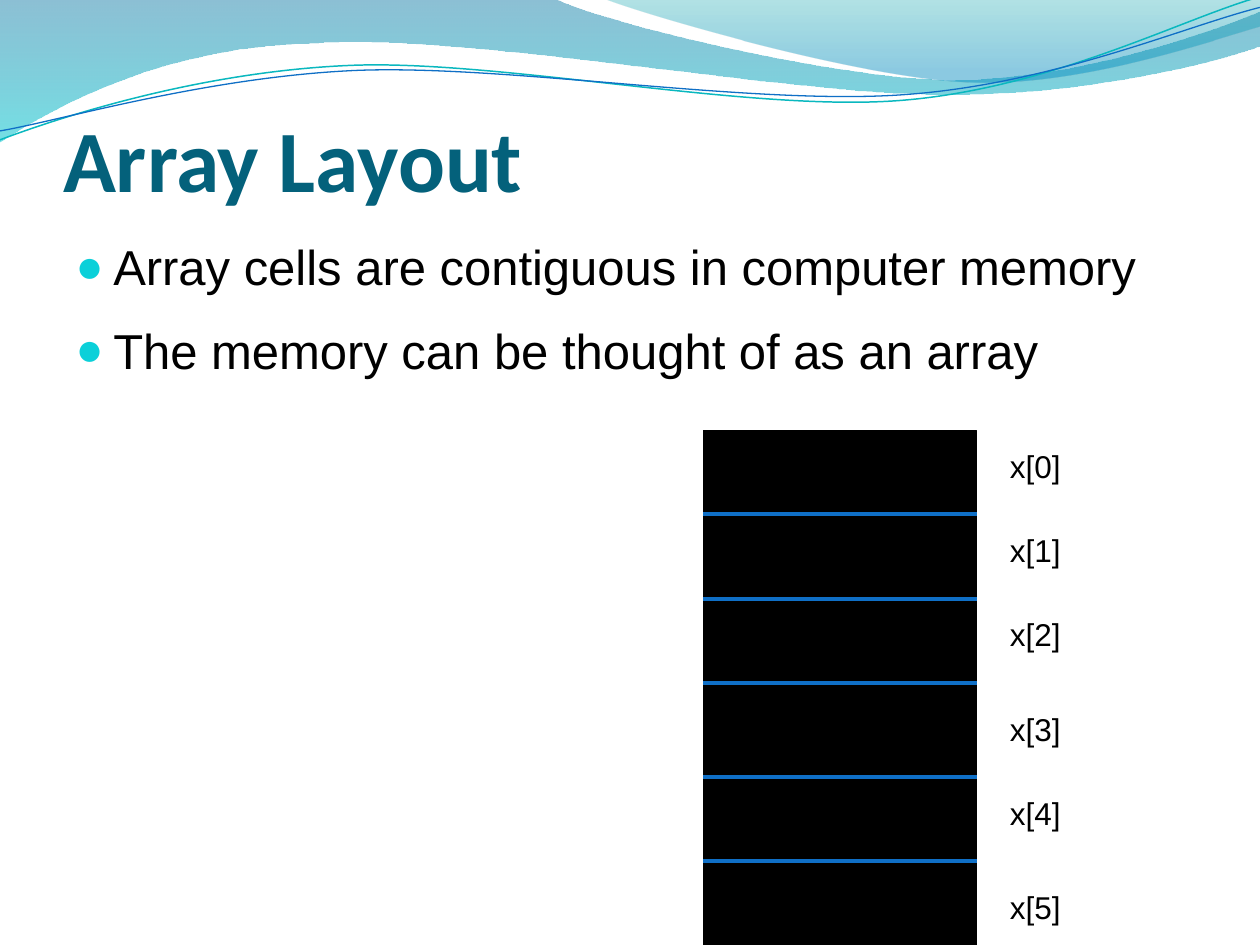
import dataclasses

import lxml.etree
import pptx
import pptx.dml.color
import pptx.enum.shapes
import pptx.enum.text
import pptx.oxml.ns
import pptx.util

Cm = pptx.util.Cm
Pt = pptx.util.Pt
qn = pptx.oxml.ns.qn
rgb = pptx.dml.color.RGBColor.from_string


@dataclasses.dataclass
class Theme:
    title_color: str = "04617B"
    text_color: str = "000000"
    bullet_color: str = "0BD0D9"
    divider_color: str = "0F6FC6"
    teal: str = "0AB8BF"
    back_wave: tuple = ((0, "0074A1", 45), (1, "00C6CF", 55))
    front_wave: tuple = ((0, "00A1A9", 30), (0.8, "008BBF", 45))
    title_font: str = "Calibri"
    text_font: str = "Arial"
    title_size: int = 50
    body_size: int = 28
    label_size: int = 18


theme = Theme()


def draw_curve(shapes, start, steps, closed):
    builder = shapes.build_freeform(Cm(start[0]), Cm(start[1]))
    builder.add_line_segments([(Cm(x), Cm(y)) for step in steps for x, y in step], close=closed)
    shape = builder.convert_to_shape()
    shape.shadow.inherit = False
    segments = iter(list(shape.element.iter(qn("a:lnTo"))))
    for step in steps:
        corners = [next(segments) for point in step]
        if len(corners) == 3:
            curve = lxml.etree.Element(qn("a:cubicBezTo"))
            corners[0].addprevious(curve)
            for corner in corners:
                curve.append(corner[0])
                corner.getparent().remove(corner)
    return shape


def style_font(font, name, size, color):
    font.name = name
    font.size = Pt(size)
    font.color.rgb = rgb(color)


deck = pptx.Presentation()
deck.slide_width, deck.slide_height = Cm(25.4), Cm(19.05)
slide = deck.slides.add_slide(deck.slide_layouts[1])
shapes = slide.shapes

waves = [
    ((0, 0), [
        [(11.18, -0.03)],
        [(12.09, 0.43), (16.87, 1.6), (19.25, 1.6)],
        [(21.67, 1.6), (24.33, 0.66), (25.4, 0.23)],
        [(25.43, 0.91)],
        [(24.97, 1.12), (22.1, 1.93), (18.95, 1.9)],
        [(15.8, 1.9), (9.7, 0.71), (6.53, 0.86)],
        [(3.28, 0.91), (1.17, 2.11), (-0.03, 2.87)],
    ], theme.back_wave),
    ((12.17, -0.03), [
        [(12.93, 0.28), (17.32, 1.57), (19.53, 1.65)],
        [(21.74, 1.75), (24.41, 0.81), (25.4, 0.53)],
        [(25.4, 0)],
    ], theme.front_wave),
]
for start, steps, stops in waves:
    wave = draw_curve(shapes, start, steps, True)
    wave.line.fill.background()
    wave.fill.gradient()
    wave.fill.gradient_angle = 270
    for stop, (position, color, opacity) in zip(wave.fill.gradient_stops, stops):
        stop.position = position
        stop.color.rgb = rgb(color)
    for node, (position, color, opacity) in zip(wave.element.iter(qn("a:srgbClr")), stops):
        lxml.etree.SubElement(node, qn("a:alpha"), val=str(opacity * 1000))

strands = [
    ((0, 2.82), [
        [(1.22, 2.36), (4.01, 1.45), (7.04, 1.32)],
        [(10.03, 1.19), (15.06, 2.26), (18.11, 2.03)],
        [(21.16, 1.8), (23.83, 0.38), (25.35, -0.05)],
    ], theme.teal, 0.85),
    ((0, 2.64), [
        [(1.19, 2.44), (4.17, 1.55), (7.19, 1.42)],
        [(10.24, 1.3), (15.16, 2.13), (18.21, 1.91)],
        [(21.23, 1.7), (23.88, 0.53), (25.4, 0.15)],
    ], theme.divider_color, 0.75),
]
for start, steps, color, width in strands:
    strand = draw_curve(shapes, start, steps, False)
    strand.fill.background()
    strand.line.color.rgb = rgb(color)
    strand.line.width = Pt(width)

title = shapes.title
body = slide.placeholders[1]
for box, top, height in ((title, 1.48, 2.75), (body, 4.65, 12.19)):
    box.left, box.top, box.width, box.height = Cm(1.27), Cm(top), Cm(22.86), Cm(height)
    box.element.getparent().append(box.element)

frame = title.text_frame
frame.text = "Array Layout"
frame.auto_size = pptx.enum.text.MSO_AUTO_SIZE.NONE
frame.vertical_anchor = pptx.enum.text.MSO_ANCHOR.BOTTOM
frame.margin_left = frame.margin_right = frame.margin_bottom = 0
para = frame.paragraphs[0]
para.alignment = pptx.enum.text.PP_ALIGN.LEFT
span = para.runs[0]
style_font(span.font, theme.title_font, theme.title_size, theme.title_color)
span.font.bold = True

frame = body.text_frame
frame.text = "Array cells are contiguous in computer memory\nThe memory can be thought of as an array"
frame.auto_size = pptx.enum.text.MSO_AUTO_SIZE.NONE
for index, para in enumerate(frame.paragraphs):
    para.space_before = Pt(14 if index else 0)
    properties = para._p.get_or_add_pPr()
    properties.set("marL", str(Cm(0.76)))
    properties.set("indent", str(Cm(-0.76)))
    bullet_color = lxml.etree.SubElement(properties, qn("a:buClr"))
    lxml.etree.SubElement(bullet_color, qn("a:srgbClr"), val=theme.bullet_color)
    lxml.etree.SubElement(properties, qn("a:buSzPct"), val="95000")
    lxml.etree.SubElement(properties, qn("a:buChar"), char="●")
    style_font(para.runs[0].font, theme.text_font, theme.body_size, theme.text_color)

memory_left, memory_width = 14.18, 5.51
cell_tops = [8.68, 10.37, 12.07, 13.76, 15.66, 17.36]
label_tops = [8.89, 10.58, 12.28, 14.18, 15.88, 17.78]
memory = shapes.add_shape(pptx.enum.shapes.MSO_SHAPE.RECTANGLE, Cm(memory_left),
                          Cm(cell_tops[0]), Cm(memory_width), Cm(19.05 - cell_tops[0]))
memory.shadow.inherit = False
memory.fill.solid()
memory.fill.fore_color.rgb = rgb(theme.text_color)
memory.line.color.rgb = rgb(theme.text_color)
memory.line.width = Pt(0.75)

for index, top in enumerate(label_tops):
    label = shapes.add_textbox(Cm(20.11), Cm(top), Cm(1.65), Cm(1.09))
    label.text_frame.text = f"x[{index}]"
    label.text_frame.word_wrap = False
    label.text_frame.auto_size = pptx.enum.text.MSO_AUTO_SIZE.SHAPE_TO_FIT_TEXT
    style_font(label.text_frame.paragraphs[0].runs[0].font,
               theme.text_font, theme.label_size, theme.text_color)

for top in cell_tops[1:]:
    divider = shapes.add_connector(pptx.enum.shapes.MSO_CONNECTOR.STRAIGHT, Cm(memory_left),
                                   Cm(top), Cm(memory_left + memory_width), Cm(top))
    divider.line.color.rgb = rgb(theme.divider_color)
    divider.line.width = Pt(2.25)
    lxml.etree.SubElement(divider.element.spPr, qn("a:effectLst"))

deck.save("out.pptx")
